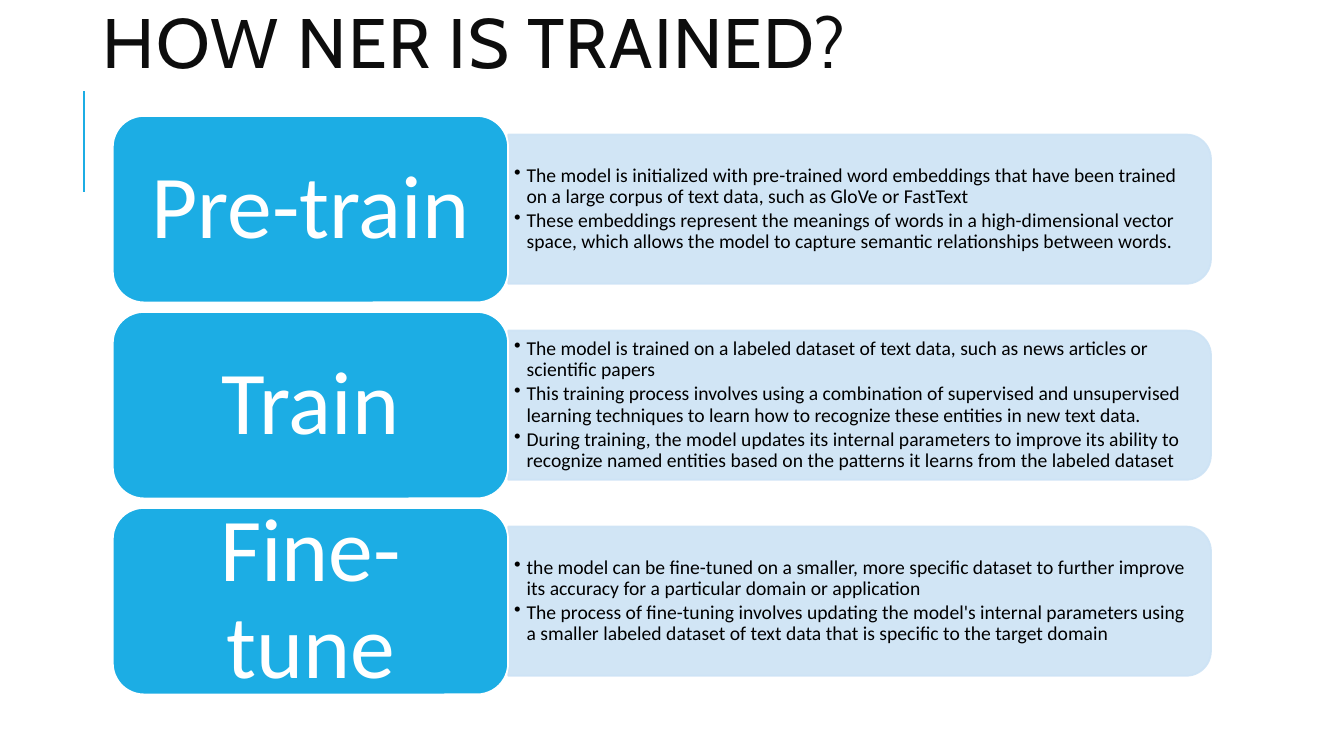
from dataclasses import dataclass

from lxml import etree
from pptx import Presentation
from pptx.dml.color import RGBColor
from pptx.enum import shapes, text
from pptx.oxml import ns
from pptx.util import Pt


@dataclass(frozen=True)
class Theme:
    accent: str = "1CADE4"
    panel: str = "CDE3F5"
    white: str = "FFFFFF"
    ink: str = "000000"
    title_ink: str = "0D0D0D"
    title_font: str = "Cabin"
    body_font: str = "Calibri"
    title_size: float = 50
    label_size: float = 64
    body_size: float = 14
    outline: float = 1.25
    rule: float = 1.5
    panel_opacity: int = 90


STAGES = [
    ("Pre-train", [
        "The model is initialized with pre-trained word embeddings that have been trained on a large "
        "corpus of text data, such as GloVe or FastText",
        "These embeddings represent the meanings of words in a high-dimensional vector space, which "
        "allows the model to capture semantic relationships between words.",
    ]),
    ("Train", [
        "The model is trained on a labeled dataset of text data, such as news articles or scientific papers",
        "This training process involves using a combination of supervised and unsupervised learning "
        "techniques to learn how to recognize these entities in new text data.",
        "During training, the model updates its internal parameters to improve its ability to recognize "
        "named entities based on the patterns it learns from the labeled dataset",
    ]),
    ("Fine-tune", [
        "the model can be fine-tuned on a smaller, more specific dataset to further improve its accuracy "
        "for a particular domain or application",
        "The process of fine-tuning involves updating the model's internal parameters using a smaller "
        "labeled dataset of text data that is specific to the target domain",
    ]),
]

LABEL_LEFT, LABEL_WIDTH, LABEL_HEIGHT = 80.6, 282.4, 133.2
PANEL_LEFT, PANEL_WIDTH, PANEL_HEIGHT = 363, 502, 106.6
TEXT_WIDTH, TEXT_HEIGHT = 496.8, 96.5
FIRST_MIDDLE, ROW_PITCH = 149.4, 140


def write(frame, lines, *, font, size, color, align=text.PP_ALIGN.LEFT, spacing=0.9,
          after=0, tracking=0, bullet_indent=0, insets=(7.2, 3.6)):
    """Fill a text frame, one paragraph for each line."""
    frame.word_wrap = True
    frame.auto_size = text.MSO_AUTO_SIZE.NONE
    frame.vertical_anchor = text.MSO_ANCHOR.MIDDLE
    frame.margin_left = frame.margin_right = Pt(insets[0])
    frame.margin_top = frame.margin_bottom = Pt(insets[1])
    for index, line in enumerate(lines):
        para = frame.add_paragraph() if index else frame.paragraphs[0]
        para.alignment = align
        para.line_spacing = spacing
        para.space_before = Pt(0)
        para.space_after = Pt(after)
        if bullet_indent:
            properties = para._p.get_or_add_pPr()
            properties.set("marL", str(Pt(bullet_indent)))
            properties.set("indent", str(-Pt(bullet_indent)))
            etree.SubElement(properties, ns.qn("a:buChar")).set("char", "•")
        span = para.add_run()
        span.text = line
        span.font.name = font
        span.font.size = Pt(size)
        span.font.color.rgb = RGBColor.from_string(color)
        if tracking:
            span._r.get_or_add_rPr().set("spc", str(int(tracking * 100)))


class SlideBuilder:
    def __init__(self, page, theme):
        self.page = page
        self.theme = theme

    def title(self, words, left, top, width, height):
        box = self.page.shapes.title
        box.left, box.top, box.width, box.height = map(Pt, (left, top, width, height))
        write(box.text_frame, [words], font=self.theme.title_font, size=self.theme.title_size,
              color=self.theme.title_ink, spacing=0.8, tracking=1)

    def rule(self, x, top, bottom):
        line = self.page.shapes.add_connector(
            shapes.MSO_CONNECTOR.STRAIGHT, Pt(x), Pt(bottom), Pt(x), Pt(top))
        line.line.color.rgb = RGBColor.from_string(self.theme.accent)
        line.line.width = Pt(self.theme.rule)
        etree.SubElement(line._element.spPr, ns.qn("a:effectLst"))

    def shape(self, kind, left, top, width, height, fill, outline):
        box = self.page.shapes.add_shape(kind, *map(Pt, (left, top, width, height)))
        box.shadow.inherit = False
        box.fill.solid()
        box.fill.fore_color.rgb = RGBColor.from_string(fill)
        box.line.color.rgb = RGBColor.from_string(outline)
        box.line.width = Pt(self.theme.outline)
        return box

    def panel(self, middle):
        """Draw a panel rounded on its right side: a top-rounded shape turned by 90 degrees."""
        box = self.shape(
            shapes.MSO_SHAPE.ROUND_2_SAME_RECTANGLE,
            PANEL_LEFT + (PANEL_WIDTH - PANEL_HEIGHT) / 2, middle - PANEL_WIDTH / 2,
            PANEL_HEIGHT, PANEL_WIDTH, self.theme.panel, self.theme.panel)
        box.rotation = 90
        for color in box._element.spPr.iter(ns.qn("a:srgbClr")):
            alpha = etree.SubElement(color, ns.qn("a:alpha"))
            alpha.set("val", str(self.theme.panel_opacity * 1000))

    def bullets(self, lines, middle):
        box = self.page.shapes.add_textbox(
            *map(Pt, (PANEL_LEFT, middle - TEXT_HEIGHT / 2, TEXT_WIDTH, TEXT_HEIGHT)))
        write(box.text_frame, lines, font=self.theme.body_font, size=self.theme.body_size,
              color=self.theme.ink, after=2.1, bullet_indent=9, insets=(4.2, 2.1))

    def label(self, words, middle):
        box = self.shape(
            shapes.MSO_SHAPE.ROUNDED_RECTANGLE, LABEL_LEFT, middle - LABEL_HEIGHT / 2,
            LABEL_WIDTH, LABEL_HEIGHT, self.theme.accent, self.theme.white)
        write(box.text_frame, [words], font=self.theme.body_font, size=self.theme.label_size,
              color=self.theme.white, align=text.PP_ALIGN.CENTER, insets=(19.2, 9.6))


def main():
    deck = Presentation()
    deck.slide_width, deck.slide_height = Pt(960), Pt(540)
    page = deck.slides.add_slide(deck.slide_layouts.get_by_name("Title Only"))
    builder = SlideBuilder(page, Theme())
    builder.rule(60, 65, 137)
    builder.title("HOW NER IS TRAINED?", 66.2, -24.5, 765.4, 118)
    for row, (name, lines) in enumerate(STAGES):
        middle = FIRST_MIDDLE + row * ROW_PITCH
        builder.panel(middle)
        builder.bullets(lines, middle)
        builder.label(name, middle)
    deck.save("out.pptx")


if __name__ == "__main__":
    main()
